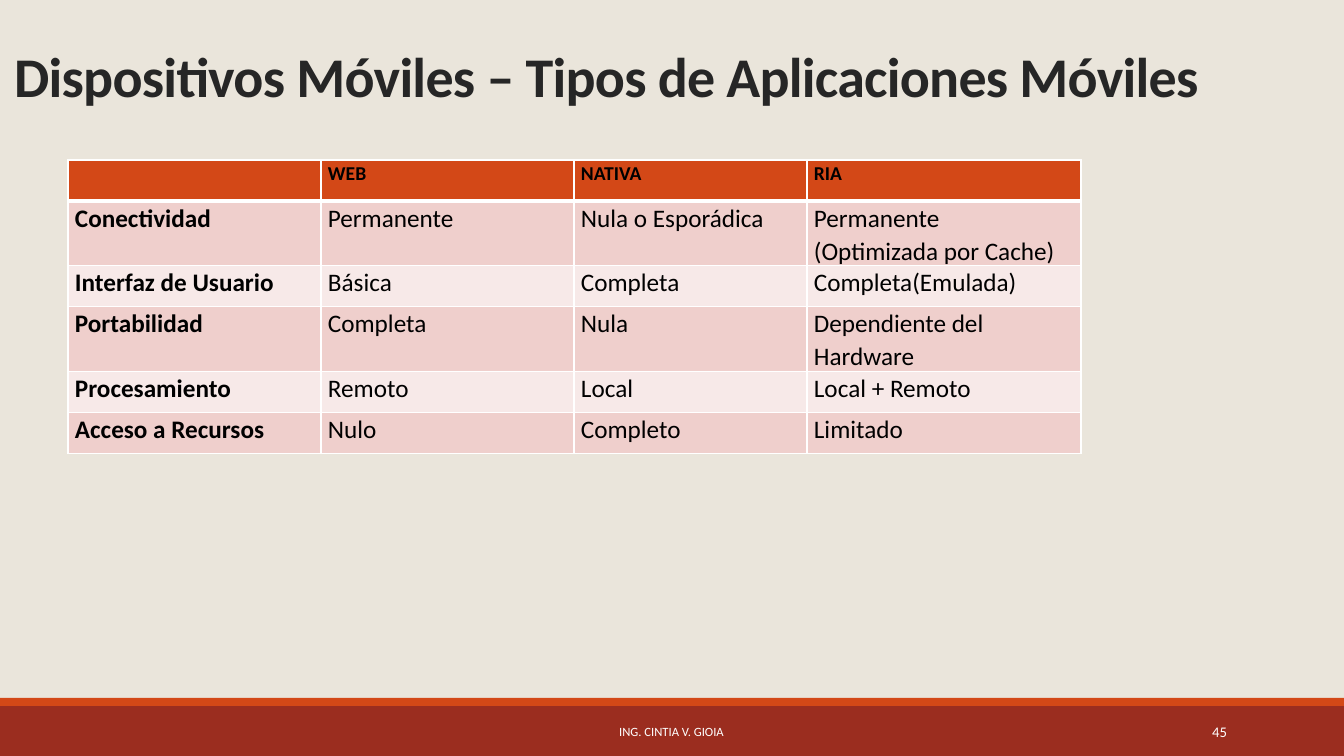
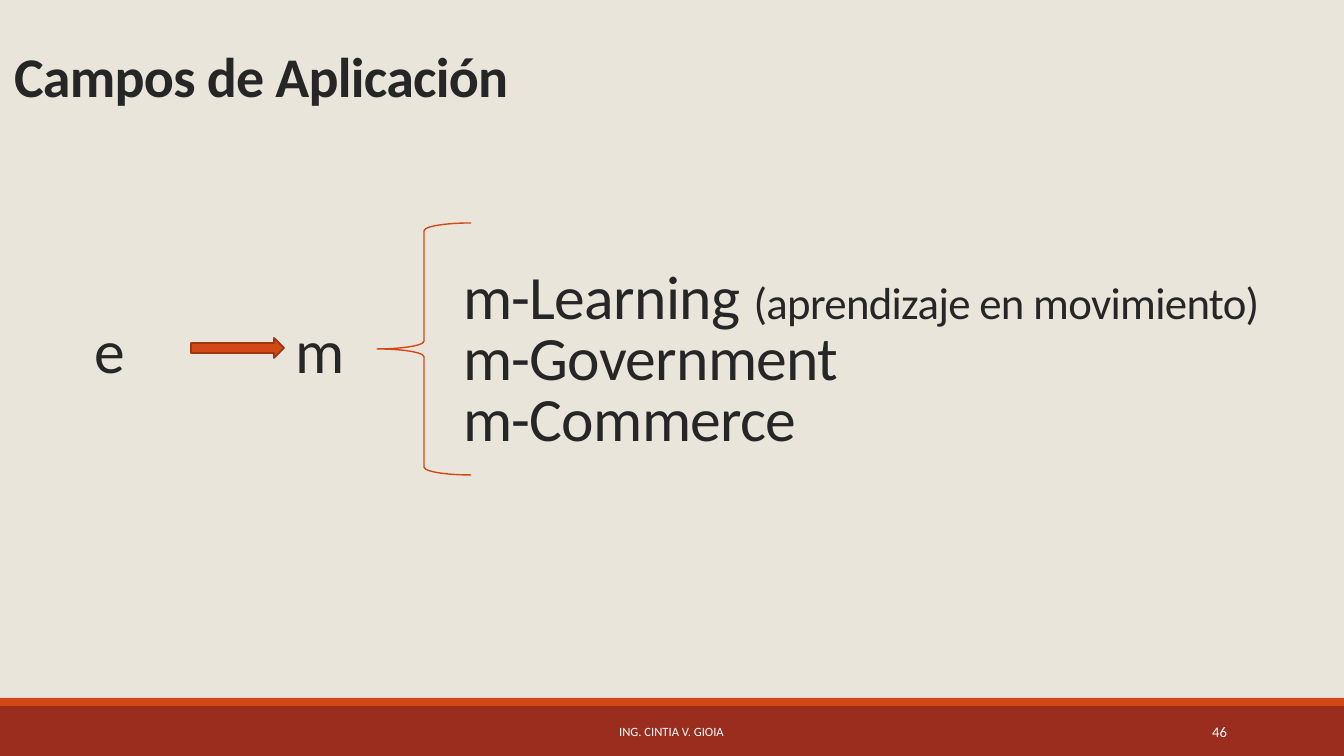
"""Two slides on mobile applications: a comparison table and the fields of use."""
from lxml import etree
from pptx import Presentation
from pptx import util as u
from pptx.dml import color
from pptx.enum import shapes, text
from pptx.oxml import ns

PX = 914400 / 100.8
FONT = "Calibri"
CREAM, BRICK, ORANGE, RUST = "EAE5DB", "9B2D1F", "D34817", "9C3511"
INK, BLACK, WHITE = "262626", "000000", "FFFFFF"
ROW_TINTS = ("EFCFCC", "F7E9E8")

AUTHOR = "ING. CINTIA V. GIOIA"
TYPES_TITLE = "Dispositivos Móviles – Tipos de Aplicaciones Móviles"
FIELDS_TITLE = "Campos de Aplicación"
FIRST_PAGE = 45

APP_TYPES = [
    ("", "WEB", "NATIVA", "RIA"),
    ("Conectividad", "Permanente", "Nula o Esporádica", "Permanente\n(Optimizada por Cache)"),
    ("Interfaz de Usuario", "Básica", "Completa", "Completa(Emulada)"),
    ("Portabilidad", "Completa", "Nula", "Dependiente del Hardware"),
    ("Procesamiento", "Remoto", "Local", "Local + Remoto"),
    ("Acceso a Recursos", "Nulo", "Completo", "Limitado"),
]
COLUMN_WIDTHS = (253, 253, 233, 274)
ROW_HEIGHT = 41

FIELDS = [
    ("m-Learning ", "(aprendizaje en movimiento)"),
    ("m-Government", ""),
    ("m-Commerce", ""),
]
PREFIXES = [("e", 95), ("m", 296)]


def px(length):
    return u.Emu(round(length * PX))


def box(*lengths):
    return [px(length) for length in lengths]


def rgb(value):
    return color.RGBColor.from_string(value)


def style(paragraph, size, ink, bold=False, tight=False):
    font = paragraph.font
    font.name, font.size, font.bold = FONT, u.Pt(size), bold
    font.color.rgb = rgb(ink)
    if tight:
        paragraph._p.pPr.find(ns.qn("a:defRPr")).set("spc", "-50")


def place(placeholder, left, top, width, height):
    placeholder.left, placeholder.top, placeholder.width, placeholder.height = box(
        left, top, width, height)
    frame = placeholder.text_frame
    frame.auto_size = text.MSO_AUTO_SIZE.NONE
    frame.word_wrap = True
    frame.vertical_anchor = text.MSO_ANCHOR.BOTTOM
    return frame


def add_preset(slide, preset, area, fill=None, line=None, weight=1):
    shape = slide.shapes.add_shape(preset, *box(*area))
    shape.shadow.inherit = False
    if fill:
        shape.fill.solid()
        shape.fill.fore_color.rgb = rgb(fill)
    else:
        shape.fill.background()
    if line:
        shape.line.color.rgb = rgb(line)
        shape.line.width = u.Pt(weight)
    else:
        shape.line.fill.background()


def add_label(slide, words, area, size, ink, align, anchor, margin=0, tight=False):
    frame = slide.shapes.add_textbox(*box(*area)).text_frame
    frame.word_wrap = True
    frame.vertical_anchor = anchor
    frame.margin_left = frame.margin_right = px(margin)
    frame.margin_top = frame.margin_bottom = 0
    paragraph = frame.paragraphs[0]
    paragraph.text = words
    paragraph.alignment = align
    style(paragraph, size, ink, tight=tight)


def add_page(deck, layout, title, number):
    slide = deck.slides.add_slide(deck.slide_layouts[layout])
    for area, fill in (((0, 706, 1344, 50), BRICK), ((0, 698, 1344, 8), ORANGE)):
        add_preset(slide, shapes.MSO_SHAPE.RECTANGLE, area, fill)
    heading = place(slide.shapes.title, 4, 11, 1247, 103).paragraphs[0]
    heading.text = title
    heading.alignment = text.PP_ALIGN.LEFT
    heading.line_spacing = 0.85
    style(heading, 40, INK, bold=True, tight=True)
    middle = text.MSO_ANCHOR.MIDDLE
    add_label(slide, AUTHOR, (406, 712, 531, 40), 9, WHITE,
              text.PP_ALIGN.CENTER, middle, margin=9)
    add_label(slide, str(number), (1092, 712, 144, 40), 10.5, WHITE,
              text.PP_ALIGN.RIGHT, middle, margin=9)
    return slide


def set_borders(cell, widths):
    properties = cell._tc.get_or_add_tcPr()
    for side, width in widths.items():
        line = etree.SubElement(properties, ns.qn("a:ln" + side), w=str(u.Pt(width)))
        fill = etree.SubElement(line, ns.qn("a:solidFill"))
        etree.SubElement(fill, ns.qn("a:srgbClr"), val=WHITE)


def add_app_types(slide):
    area = box(68, 160, sum(COLUMN_WIDTHS), ROW_HEIGHT * len(APP_TYPES))
    table = slide.shapes.add_table(len(APP_TYPES), len(COLUMN_WIDTHS), *area).table
    table.first_row = table.horz_banding = False
    for column, width in zip(table.columns, COLUMN_WIDTHS):
        column.width = px(width)
    for r, entries in enumerate(APP_TYPES):
        header = r == 0
        for c, entry in enumerate(entries):
            cell = table.cell(r, c)
            set_borders(cell, {"L": 1, "R": 1, "T": 3 if r == 1 else 1,
                               "B": 3 if header else 1})
            cell.fill.solid()
            cell.fill.fore_color.rgb = rgb(ORANGE if header else ROW_TINTS[(r - 1) % 2])
            cell.margin_left = cell.margin_right = px(7)
            cell.margin_top = cell.margin_bottom = 0
            cell.text = entry
            for paragraph in cell.text_frame.paragraphs:
                paragraph.line_spacing = 1.07
                style(paragraph, 14 if header else 18, BLACK, bold=header or c == 0)


def add_fields(slide):
    frame = place(slide.placeholders[1], 453, 247, 853, 212)
    for i, (field, meaning) in enumerate(FIELDS):
        paragraph = frame.add_paragraph() if i else frame.paragraphs[0]
        paragraph.line_spacing = 0.83
        paragraph.space_before = u.Pt(0)
        properties = paragraph._p.get_or_add_pPr()
        properties.set("marL", "0")
        properties.set("indent", "0")
        etree.SubElement(properties, ns.qn("a:buNone"))
        style(paragraph, 44, INK, tight=True)
        paragraph.add_run().text = field
        if meaning:
            detail = paragraph.add_run()
            detail.text = meaning
            detail.font.size = u.Pt(32)
    for prefix, left in PREFIXES:
        add_label(slide, prefix, (left, 311, 60, 75), 44, INK,
                  text.PP_ALIGN.LEFT, text.MSO_ANCHOR.BOTTOM, tight=True)
    add_preset(slide, shapes.MSO_SHAPE.RIGHT_ARROW, (191, 338, 93, 20), ORANGE, RUST, 1.25)
    add_preset(slide, shapes.MSO_SHAPE.LEFT_BRACE, (377, 223, 94, 252), line=ORANGE)


def main():
    deck = Presentation()
    deck.slide_width, deck.slide_height = box(1344, 756)
    backdrop = deck.slide_master.background.fill
    backdrop.solid()
    backdrop.fore_color.rgb = rgb(CREAM)
    pages = [(5, TYPES_TITLE, add_app_types), (1, FIELDS_TITLE, add_fields)]
    for number, (layout, title, add_content) in enumerate(pages, FIRST_PAGE):
        add_content(add_page(deck, layout, title, number))
    deck.save("out.pptx")


if __name__ == "__main__":
    main()
